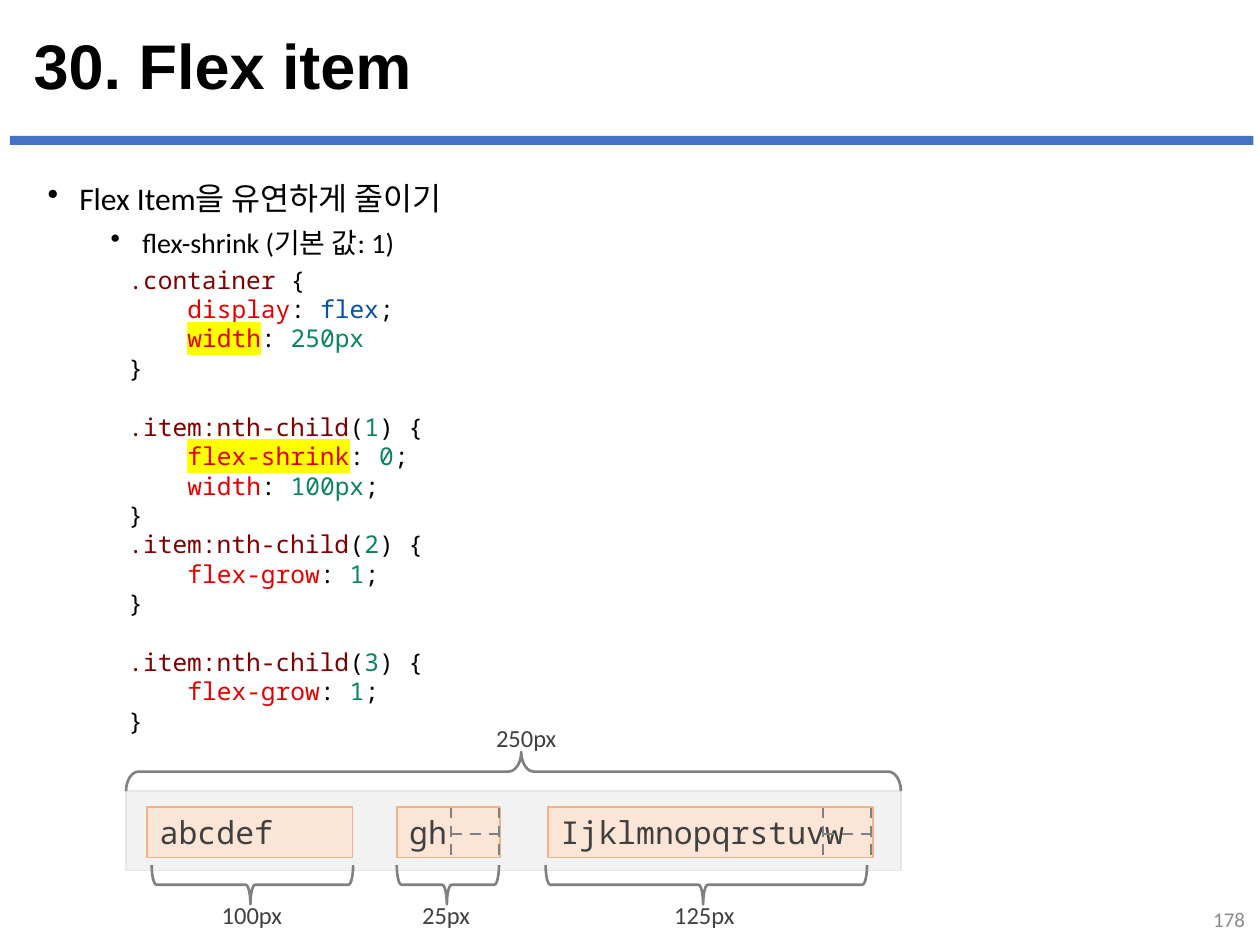
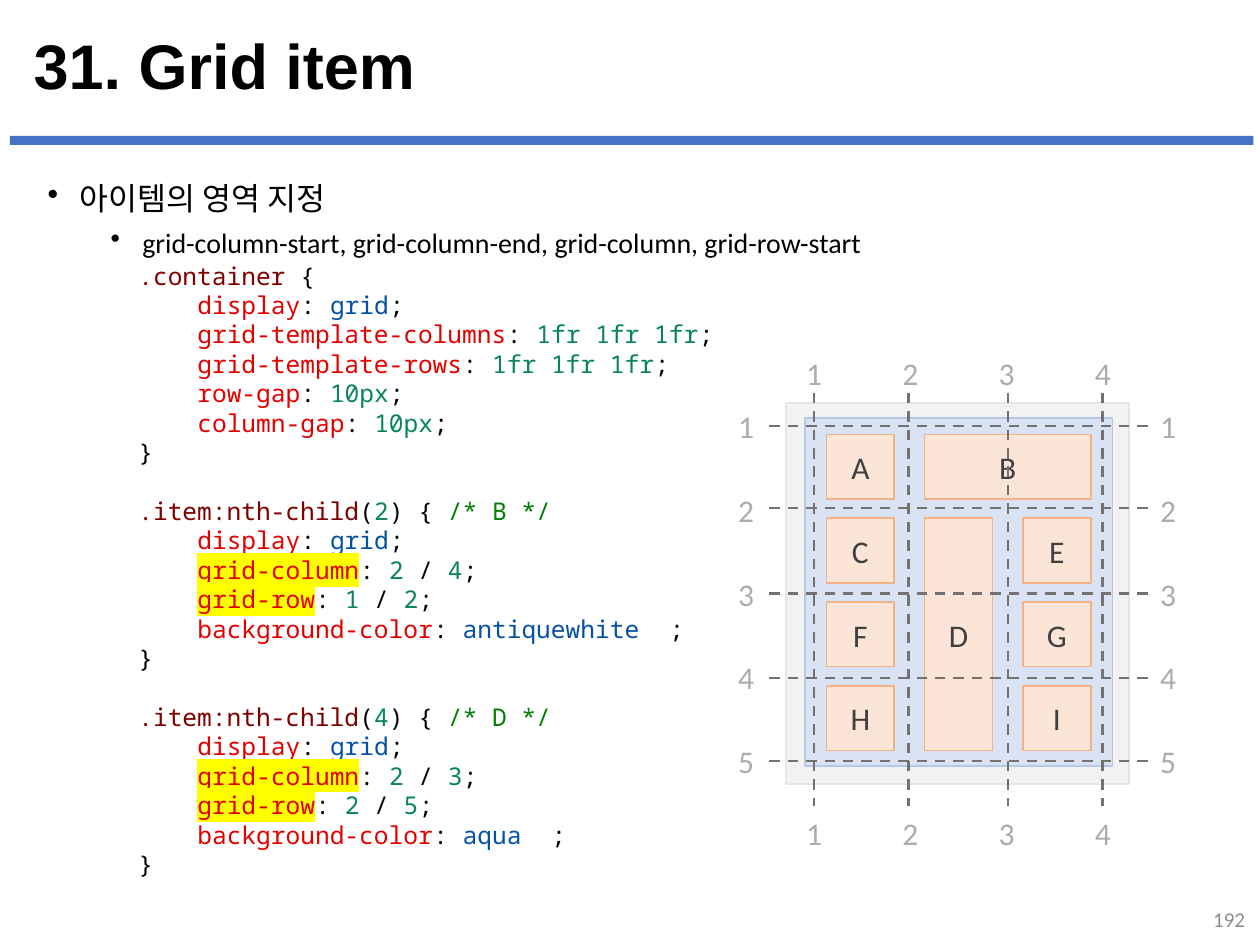
"""Build two lecture slides on flex items and grid items."""
from lxml import etree
from pptx import Presentation
from pptx import util as u
from pptx.dml.color import RGBColor
from pptx.enum import dml, shapes, text
from pptx.oxml.ns import qn

INK, DARK, GRAY, PALE, PAGE = "000000", "404040", "808080", "AFABAB", "8C8C8C"
BLUE, PEACH, ORANGE, DASH = "4472C4", "FBE5D6", "F4B183", "767171"
RULE, PROP, WORD, NUM, NOTE, MARK = "800000", "E50000", "0451A5", "098658", "008000", "FFFF00"
BODY, HEAD, MONO = "Calibri", "Arial", "Noto Sans Mono"
LEFT, RIGHT, MID = text.PP_ALIGN.LEFT, text.PP_ALIGN.RIGHT, text.PP_ALIGN.CENTER

FLEX = dict(
    title="30. Flex item", page="178",
    points=["Flex Item을 유연하게 줄이기", "flex-shrink (기본 값: 1)"],
    spot=(2.34, 5.21, 12.75, 9.83),
    code=[".container {", "display: flex;", "*width: 250px", "}", "",
          ".item:nth-child(1) {", "*flex-shrink: 0;", "width: 100px;", "}",
          ".item:nth-child(2) {", "flex-grow: 1;", "}", "",
          ".item:nth-child(3) {", "flex-grow: 1;", "}"])
GRID = dict(
    title="31. Grid item", page="192",
    points=["아이템의 영역 지정",
            "grid-column-start, grid-column-end, grid-column, grid-row-start"],
    spot=(2.54, 5.13, 14.91, 12.83),
    code=[".container {", "display: grid;", "grid-template-columns: 1fr 1fr 1fr;",
          "grid-template-rows: 1fr 1fr 1fr;", "row-gap: 10px;", "column-gap: 10px;", "}", "",
          ".item:nth-child(2) { /* B */", "display: grid;", "*grid-column: 2 / 4;",
          "*grid-row: 1 / 2;", "background-color: antiquewhite ;", "}", "",
          ".item:nth-child(4) { /* D */", "display: grid;", "*grid-column: 2 / 3;",
          "*grid-row: 2 / 5;", "background-color: aqua ;", "}"])

ITEMS = [("abcdef", 2.97, 4.14), ("gh", 8, 2.08), ("Ijklmnopqrstuvw", 11.05, 6.55)]
SPANS = [("100px", 3.06, 4.06, 4.22, 1.75), ("25px", 8, 2.06, 8.26, 1.5),
         ("125px", 11, 6.48, 13.34, 1.75)]
CUTS = [9.09, 16.59]

CELLS = [("A", 0, 0, 1, 1), ("B", 1, 0, 2, 1), ("C", 0, 1, 1, 1), ("D", 1, 1, 1, 3),
         ("E", 2, 1, 1, 1), ("F", 0, 2, 1, 1), ("G", 2, 2, 1, 1), ("H", 0, 3, 1, 1),
         ("I", 2, 3, 1, 1)]
COLS = [16.41, 18.31, 20.32, 22.23]
ROWS = [8.59, 10.24, 11.96, 13.67, 15.34]


def tone(code):
    return RGBColor.from_string(code)


def cm(*nums):
    return [u.Cm(n) for n in nums]


def style(para, size, color, face=BODY, align=LEFT, bold=False):
    para.alignment = align
    font = para.font
    font.size, font.name, font.bold = u.Pt(size), face, bold
    font.color.rgb = tone(color)


def label(slide, words, spot, size, color, face=BODY, align=LEFT, bold=False,
          wrap=True, anchor=text.MSO_ANCHOR.TOP):
    frame = slide.shapes.add_textbox(*cm(*spot)).text_frame
    frame.word_wrap, frame.vertical_anchor = wrap, anchor
    para = frame.paragraphs[0]
    para.text = words
    style(para, size, color, face, align, bold)
    return para


def box(slide, spot, fill, edge=None):
    rect = slide.shapes.add_shape(shapes.MSO_SHAPE.RECTANGLE, *cm(*spot))
    rect.shadow.inherit = False
    rect.fill.solid()
    rect.fill.fore_color.rgb = tone(fill)
    if edge:
        rect.line.color.rgb = tone(edge)
        rect.line.width = u.Pt(1)
    else:
        rect.line.fill.background()
    return rect


def item(slide, words, spot, face, align, anchor):
    frame = box(slide, spot, PEACH, ORANGE).text_frame
    frame.vertical_anchor = anchor
    para = frame.paragraphs[0]
    para.text = words
    style(para, 18, DARK, face, align)


def dash(slide, ends, color):
    line = slide.shapes.add_connector(shapes.MSO_CONNECTOR.STRAIGHT, *cm(*ends))
    line.line.color.rgb = tone(color)
    line.line.width = u.Pt(1.5)
    line.line.dash_style = dml.MSO_LINE.DASH
    etree.SubElement(line._element.spPr, qn("a:effectLst"))


def brace(slide, x, y, wide, turn, curl):
    deep = 0.79
    spot = x + (wide - deep) / 2, y + (deep - wide) / 2, deep, wide
    arc = slide.shapes.add_shape(shapes.MSO_SHAPE.LEFT_BRACE, *cm(*spot))
    arc.shadow.inherit = False
    arc.rotation = turn
    arc.adjustments[0], arc.adjustments[1] = curl, 0.49
    arc.fill.background()
    arc.line.color.rgb = tone(GRAY)
    arc.line.width = u.Pt(1.5)


def bullets(slide, points):
    frame = slide.shapes.add_textbox(*cm(0.71, 3.48, 23.88, 15.21)).text_frame
    frame.word_wrap = True
    for i, point in enumerate(points):
        para = frame.add_paragraph() if i else frame.paragraphs[0]
        para.text = point
        style(para, 18 - 2 * i, INK)
        para.space_before = u.Pt(10 - 5 * i)
        props = para._p.get_or_add_pPr()
        props.set("marL", str(u.Cm(0.64 + 1.27 * i)))
        props.set("indent", str(u.Cm(-0.64)))
        dot = etree.Element(qn("a:buChar"), char="•")
        props.find(qn("a:defRPr")).addprevious(dot)


def tint(line):
    if line == "}":
        return [(line, INK)]
    if "{" in line:
        head, _, note = line.partition(" {")
        name, _, num = head.partition("(")
        child = [("(", INK), (num[:-1], NUM), (")", INK)] if num else []
        return [(name, RULE), *child, (" {", INK), (note, NOTE)]
    name, _, value = line.partition(": ")
    runs = [(name, PROP), (": ", INK)]
    bare = value.rstrip("; ")
    for i, part in enumerate(bare.split(" / ")):
        runs += [(" / ", INK)] if i else []
        runs.append((part, NUM if part[0].isdigit() else WORD))
    return runs + [(sign, INK) for sign in value[len(bare):]]


def listing(slide, spot, code):
    frame = slide.shapes.add_textbox(*cm(*spot)).text_frame
    frame.word_wrap = True
    para, gap = frame.paragraphs[0], False
    for i, line in enumerate(code):
        if not line:
            gap = True
            continue
        para = frame.add_paragraph() if i else para
        para.font.size, para.font.name = u.Pt(14), MONO
        para.space_before = u.Pt(16.8 if gap else 0)
        gap = False
        if line[-1] != "}" and "{" not in line:
            para._p.get_or_add_pPr().set("marL", str(u.Cm(1.19)))
        for words, color in tint(line.lstrip("*")):
            if not words:
                continue
            run = para.add_run()
            run.text = words
            run.font.color.rgb = tone(color)
            props = run._r.get_or_add_rPr()
            if words == " ":
                props.set("spc", "840")
            if line[0] == "*" and color == PROP:
                glow = etree.SubElement(props, qn("a:highlight"))
                etree.SubElement(glow, qn("a:srgbClr"), val=MARK)


def start(deck, data):
    slide = deck.slides.add_slide(deck.slide_layouts[6])
    mid = text.MSO_ANCHOR.MIDDLE
    box(slide, (0.2, 2.74, 25.07, 0.18), BLUE)
    bullets(slide, data["points"])
    label(slide, data["page"], (19.63, 18.01, 5.72, 1.02), 12, PAGE, align=RIGHT, anchor=mid)
    title = label(slide, data["title"], (0.43, 0.56, 24.54, 1.68), 36, INK, HEAD,
                  bold=True, anchor=mid)
    title.line_spacing = 0.9
    listing(slide, data["spot"], data["code"])
    return slide


def flex(slide):
    box(slide, (2.54, 15.95, 15.62, 1.6), "F2F2F2", "E7E6E6")
    for words, x, wide in ITEMS:
        item(slide, words, (x, 16.27, wide, 1.02), MONO, LEFT, text.MSO_ANCHOR.TOP)
    brace(slide, 2.54, 15.16, 15.62, 90, 0.32)
    label(slide, "250px", (9.75, 14.45, 1.75, 0.86), 14, DARK, wrap=False)
    for words, x, wide, left, room in SPANS:
        brace(slide, x, 17.44, wide, 270, 0.12)
        label(slide, words, (left, 18.01, room, 0.86), 14, DARK, wrap=False)
    for x in CUTS:
        end = x + 0.97
        dash(slide, (x, 16.28, x, 17.27), GRAY)
        dash(slide, (end, 16.81, x, 16.81), GRAY)
        dash(slide, (end, 16.28, end, 17.27), GRAY)


def grid(slide):
    box(slide, (15.85, 8.13, 6.91, 7.67), "F2F2F2", "E7E6E6")
    box(slide, (16.23, 8.43, 6.2, 7.01), "DAE3F3", "B4C7E7")
    across, down = 1.98, 1.69
    for words, col, row, wide, high in CELLS:
        spot = (16.66 + col * across, 8.76 + row * down,
                1.37 + (wide - 1) * across, 1.3 + (high - 1) * down)
        item(slide, words, spot, BODY, MID, text.MSO_ANCHOR.MIDDLE)
    for x in COLS:
        dash(slide, (x, 7.92, x, 16.24), DASH)
    for y in ROWS:
        dash(slide, (23.14, y, 15.49, y), DASH)
    tags = [(i, 16 + 1.94 * i, y) for y in (7.01, 16.28) for i in range(len(COLS))]
    tags += [(i, x, 8.08 + down * i) for x in (14.63, 23.14) for i in range(len(ROWS))]
    for i, x, y in tags:
        label(slide, str(i + 1), (x, y, 0.84, 1.02), 18, PALE)


def main():
    deck = Presentation()
    deck.slide_width, deck.slide_height = cm(25.4, 19.05)
    flex(start(deck, FLEX))
    grid(start(deck, GRID))
    deck.save("out.pptx")


if __name__ == "__main__":
    main()
